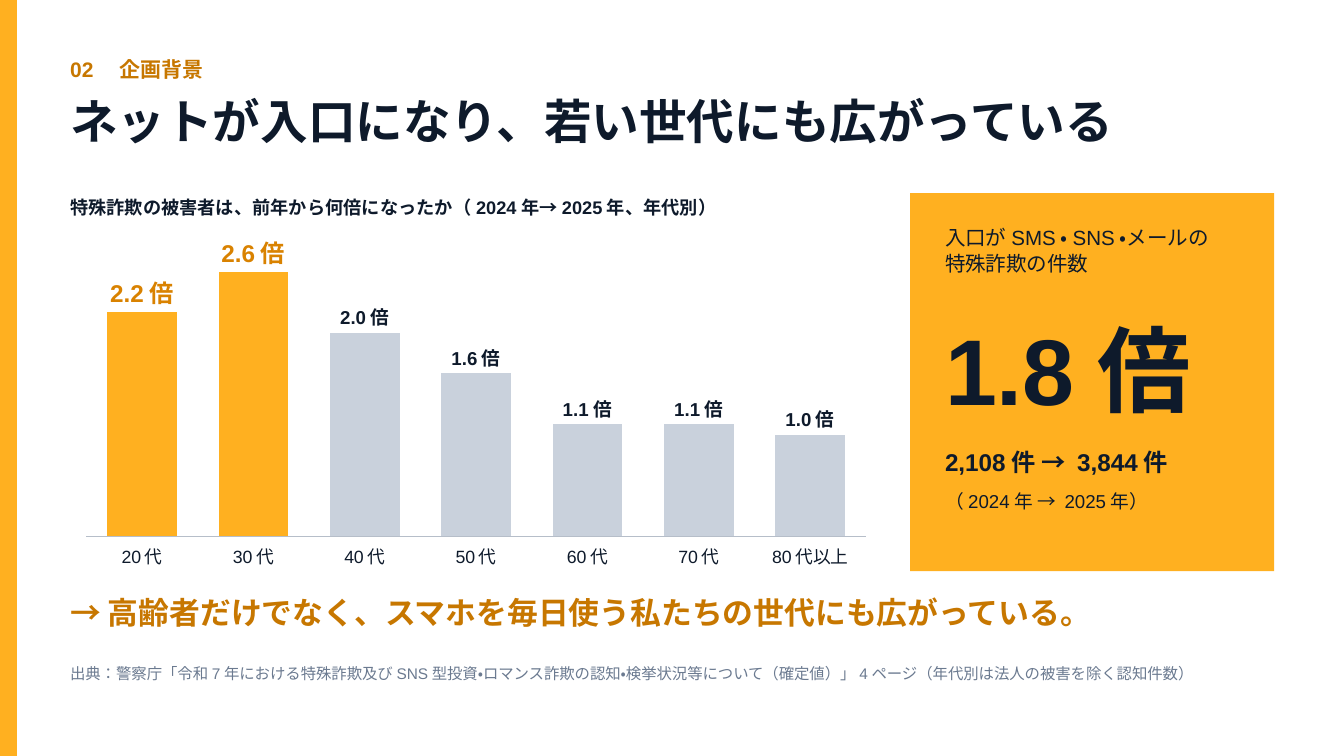
from lxml import etree
from pptx import Presentation
from pptx.chart.data import CategoryChartData
from pptx.dml.color import RGBColor
from pptx.enum.chart import XL_CHART_TYPE, XL_LABEL_POSITION, XL_TICK_LABEL_POSITION, XL_TICK_MARK
from pptx.enum.lang import MSO_LANGUAGE_ID
from pptx.enum.shapes import MSO_SHAPE
from pptx.enum.text import MSO_ANCHOR, MSO_AUTO_SIZE, PP_ALIGN
from pptx.oxml import parse_xml
from pptx.oxml.ns import nsdecls, qn
from pptx.util import Cm, Pt

RECTANGLE = MSO_SHAPE.RECTANGLE
COLUMNS = XL_CHART_TYPE.COLUMN_CLUSTERED
OUTSIDE_END = XL_LABEL_POSITION.OUTSIDE_END
LABELS_LOW = XL_TICK_LABEL_POSITION.LOW
NO_TICK = XL_TICK_MARK.NONE
JAPANESE = MSO_LANGUAGE_ID.JAPANESE
TOP, LEFT = MSO_ANCHOR.TOP, PP_ALIGN.LEFT
NO_AUTOFIT = MSO_AUTO_SIZE.NONE

# Content
TITLE = "ネットが入口になり、若い世代にも広がっている"
SECTION = "02　企画背景"
CHART_TITLE = "特殊詐欺の被害者は、前年から何倍になったか（2024年→2025年、年代別）"
GROWTH = [("20代", 2.2), ("30代", 2.6), ("40代", 2.0), ("50代", 1.6),
          ("60代", 1.1), ("70代", 1.1), ("80代以上", 1.0)]
HIGHLIGHTS = (0, 1)
VALUE_FORMAT = '0.0"倍"'
TAKEAWAY = "→ 高齢者だけでなく、スマホを毎日使う私たちの世代にも広がっている。"
SOURCE = ("出典：警察庁「令和7年における特殊詐欺及びSNS型投資・ロマンス詐欺の認知・検挙状況等について"
          "（確定値）」4ページ（年代別は法人の被害を除く認知件数）")
PANEL_INTRO = ["入口がSMS・SNS・メールの", "特殊詐欺の件数"]
PANEL_FIGURE = "1.8倍"
PANEL_COUNTS = "2,108件 → 3,844件"
PANEL_YEARS = "（2024年 → 2025年）"

# Theme: styles are (size, colour, bold, line spacing as a multiple of the size)
THEME = {
    "font": "Arial",
    "colors": {"paper": "FFFFFF", "ink": "0E1A2B", "accent": "FFB020", "deep": "C77700",
               "label": "D98200", "muted": "6B7A90", "bar": "C9D1DC", "axis": "B6BEC9"},
    "styles": {
        "section": (22.5, "deep", True, 1.4),
        "title": (51, "ink", True, 1.4),
        "chart title": (19.5, "ink", True, 1.4),
        "takeaway": (33, "deep", True, 1.4),
        "source": (16.5, "muted", False, 1.4),
        "intro": (22, "ink", False, 1.25),
        "figure": (100, "ink", True, 1.25),
        "counts": (26, "ink", True, 1.25),
        "years": (20, "ink", False, 1.25),
        "axis": (19, "ink", False, 1),
        "value": (20, "ink", True, 1),
        "highlight": (26, "label", True, 1),
    },
}

# Layout in centimetres
PAGE_WIDTH, PAGE_HEIGHT = 50.8, 28.58
MARGIN = 2.65
TEXT_WIDTH = 45.5
CHART_WIDTH = 30.69
BODY_TOP, BODY_BOTTOM = 7.3, 21.59
CHART_TOP = 8.47
PANEL_LEFT, PANEL_WIDTH = 34.4, 13.76
PANEL_TEXT_LEFT, PANEL_TEXT_WIDTH = 35.72, 12.0

TEXTS = [  # style, lines, left, top, width, height
    ("section", [SECTION], MARGIN, 1.96, 15.88, 1.11),
    ("chart title", [CHART_TITLE], MARGIN, BODY_TOP, CHART_WIDTH, 0.99),
    ("takeaway", [TAKEAWAY], MARGIN, 22.23, TEXT_WIDTH, 1.65),
    ("source", [SOURCE], MARGIN, 24.98, TEXT_WIDTH, 1.63),
    ("intro", PANEL_INTRO, PANEL_TEXT_LEFT, CHART_TOP, PANEL_TEXT_WIDTH, 2.12),
    ("figure", [PANEL_FIGURE], PANEL_TEXT_LEFT, 11.64, PANEL_TEXT_WIDTH, 4.23),
    ("counts", [PANEL_COUNTS], PANEL_TEXT_LEFT, 16.87, PANEL_TEXT_WIDTH, 1.27),
    ("years", [PANEL_YEARS], PANEL_TEXT_LEFT, 18.49, PANEL_TEXT_WIDTH, 1.06),
]


def color(name):
    return RGBColor.from_string(THEME["colors"][name])


def paint(fill, name):
    fill.solid()
    fill.fore_color.rgb = color(name)


def style_font(font, style):
    size, ink, bold, _ = THEME["styles"][style]
    font.name = THEME["font"]
    font.size = Pt(size)
    font.bold = bold
    font.color.rgb = color(ink)
    font.language_id = JAPANESE


def write(box, style, lines):
    size, _, _, spacing = THEME["styles"][style]
    frame = box.text_frame
    frame.word_wrap = True
    frame.auto_size = NO_AUTOFIT
    frame.vertical_anchor = TOP
    frame.margin_left = frame.margin_right = frame.margin_top = frame.margin_bottom = 0
    for index, line in enumerate(lines):
        para = frame.add_paragraph() if index else frame.paragraphs[0]
        para.alignment = LEFT
        para.space_before = Pt(0)
        para.line_spacing = Pt(size * spacing)
        span = para.add_run()
        span.text = line
        style_font(span.font, style)


def add_block(page, left, top, width, height):
    block = page.shapes.add_shape(RECTANGLE, Cm(left), Cm(top), Cm(width), Cm(height))
    block.shadow.inherit = False
    paint(block.fill, "accent")
    block.line.fill.background()


def add_growth_chart(page):
    data = CategoryChartData(number_format=VALUE_FORMAT)
    data.categories = [age for age, _ in GROWTH]
    data.add_series("前年比", [ratio for _, ratio in GROWTH])
    chart = page.shapes.add_chart(COLUMNS, Cm(MARGIN), Cm(CHART_TOP), Cm(CHART_WIDTH),
                                  Cm(BODY_BOTTOM - CHART_TOP), data).chart
    chart.has_legend = chart.has_title = False
    style_font(chart.font, "axis")

    # Axes
    ages, ratios = chart.category_axis, chart.value_axis
    ages.major_tick_mark = ages.minor_tick_mark = NO_TICK
    ages.tick_label_position = LABELS_LOW
    style_font(ages.tick_labels.font, "axis")
    ages.format.line.color.rgb = color("axis")
    ages.format.line.width = Pt(0.75)
    ratios.minimum_scale, ratios.maximum_scale = 0, 3
    ratios.has_major_gridlines = False
    ratios.visible = False

    # Columns and their labels
    plot = chart.plots[0]
    plot.gap_width = 60
    plot.vary_by_categories = False
    series = plot.series[0]
    paint(series.format.fill, "bar")
    labels = series.data_labels
    labels.show_value = True
    labels.number_format = VALUE_FORMAT
    labels.number_format_is_linked = False
    labels.position = OUTSIDE_END
    style_font(labels.font, "value")
    for index in HIGHLIGHTS:
        point = series.points[index]
        paint(point.format.fill, "accent")
        style_font(point.data_label.font, "highlight")
        point.data_label.position = OUTSIDE_END
    for label in series._element.iter(qn("c:dLbl")):
        number_format = etree.Element(qn("c:numFmt"), formatCode=VALUE_FORMAT, sourceLinked="0")
        label.find(qn("c:idx")).addnext(number_format)

    # Plot area as shares of the chart frame
    shares = "".join(f'<c:{key} val="{share}"/>' for key, share in
                     [("x", 0.02), ("y", 0.02), ("w", 0.96), ("h", 0.88)])
    area = chart._chartSpace.find(".//" + qn("c:plotArea"))
    for old in area.findall(qn("c:layout")):
        area.remove(old)
    area.insert(0, parse_xml(
        f'<c:layout {nsdecls("c")}><c:manualLayout><c:layoutTarget val="inner"/>'
        f'<c:xMode val="edge"/><c:yMode val="edge"/>{shares}</c:manualLayout></c:layout>'))


def main():
    deck = Presentation()
    deck.slide_width, deck.slide_height = Cm(PAGE_WIDTH), Cm(PAGE_HEIGHT)
    page = deck.slides.add_slide(deck.slide_layouts[5])
    paint(page.background.fill, "paper")

    # Title
    title = page.shapes.title
    title.left, title.top, title.width, title.height = Cm(MARGIN), Cm(3.1), Cm(45), Cm(2.49)
    write(title, "title", [TITLE])

    # Side band, chart and key-figure panel
    add_block(page, 0, 0, 0.64, PAGE_HEIGHT)
    add_growth_chart(page)
    add_block(page, PANEL_LEFT, BODY_TOP, PANEL_WIDTH, BODY_BOTTOM - BODY_TOP)

    # Texts
    for style, lines, *frame in TEXTS:
        write(page.shapes.add_textbox(*map(Cm, frame)), style, lines)

    deck.save("out.pptx")


if __name__ == "__main__":
    main()
